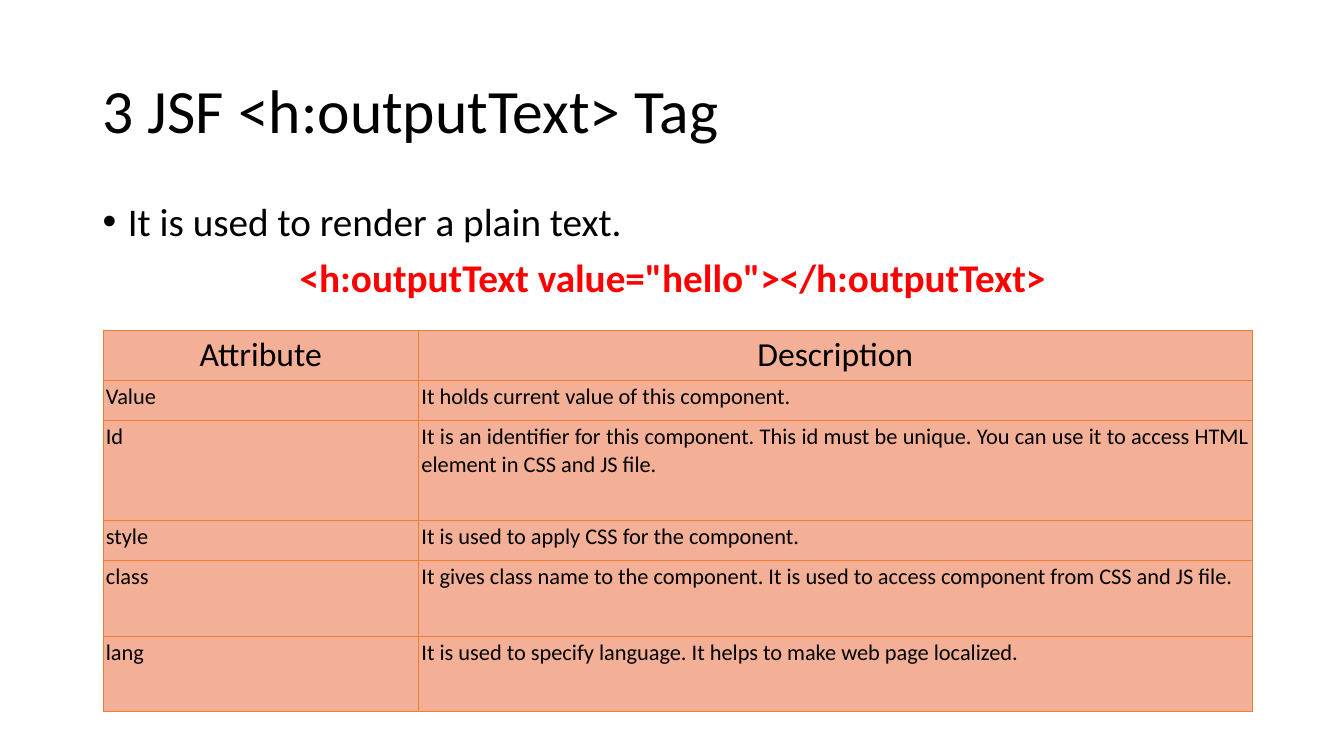
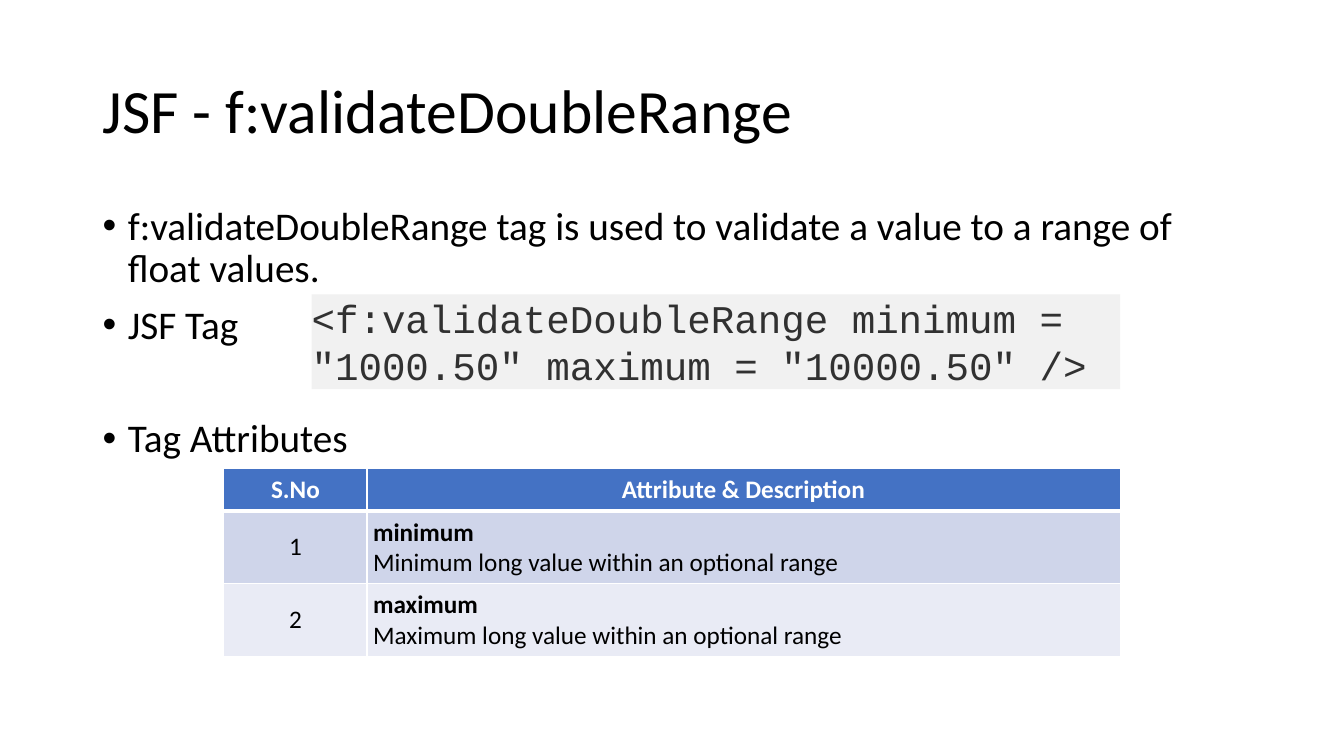
from dataclasses import dataclass

from lxml.etree import SubElement
from pptx import Presentation
from pptx.dml.color import RGBColor
from pptx.enum.shapes import MSO_SHAPE
from pptx.enum.text import MSO_ANCHOR, PP_ALIGN
from pptx.oxml.ns import qn
from pptx.slide import Slide
from pptx.table import _Cell
from pptx.text.text import _Paragraph
from pptx.util import Emu, Inches, Pt

COLORS = {
    "black": "000000",
    "white": "FFFFFF",
    "red": "FF0000",
    "salmon": "F4B096",
    "orange": "ED7D31",
    "header_blue": "4472C4",
    "band_dark": "CFD5EA",
    "band_light": "E9EBF5",
    "code_back": "F1F1F1",
    "code_text": "313131",
}
BODY_FONT = "Calibri"
CODE_FONT = "Courier New"
MARGIN = Inches(0.92)
CONTENT_WIDTH = Inches(11.5)


@dataclass(frozen=True)
class TextStyle:
    size: float
    color: str = "black"
    bold: bool = False
    font: str = BODY_FONT
    align: PP_ALIGN = PP_ALIGN.LEFT


@dataclass(frozen=True)
class BodyLine:
    text: str
    style: TextStyle = TextStyle(28)
    bulleted: bool = True
    space_before: float = 10


@dataclass(frozen=True)
class CellStyle:
    text: TextStyle
    fill: str
    inset: float
    border: str
    border_width: float = 1
    bottom_width: float = 1
    anchor: MSO_ANCHOR = MSO_ANCHOR.TOP
    lead_bold: bool = False


@dataclass(frozen=True)
class TableRow:
    height: float
    values: tuple[str, str]
    styles: tuple[CellStyle, CellStyle]


def rgb(name: str) -> RGBColor:
    return RGBColor.from_string(COLORS[name])


def format_paragraph(paragraph: _Paragraph, style: TextStyle) -> None:
    paragraph.alignment = style.align
    for run in paragraph.runs:
        run.font.name = style.font
        run.font.size = Pt(style.size)
        run.font.bold = style.bold
        run.font.color.rgb = rgb(style.color)


def add_titled_slide(deck: Presentation, heading: str) -> Slide:
    slide = deck.slides.add_slide(deck.slide_layouts[5])
    title = slide.shapes.title
    title.left, title.top = MARGIN, Inches(0.4)
    title.width, title.height = CONTENT_WIDTH, Inches(1.45)
    frame = title.text_frame
    frame.text = heading
    frame.word_wrap = True
    frame.vertical_anchor = MSO_ANCHOR.MIDDLE
    frame.paragraphs[0].line_spacing = 0.9
    format_paragraph(frame.paragraphs[0], TextStyle(44))
    return slide


def add_bullet(paragraph: _Paragraph) -> None:
    properties = paragraph._p.get_or_add_pPr()
    properties.set("marL", str(Inches(0.25)))
    properties.set("indent", str(-Inches(0.25)))
    SubElement(properties, qn("a:buFont"), typeface="Arial")
    SubElement(properties, qn("a:buChar"), char="•")


def add_body(slide: Slide, top: float, height: float, lines: list[BodyLine]) -> None:
    body = slide.shapes.add_textbox(MARGIN, Inches(top), CONTENT_WIDTH, Inches(height))
    frame = body.text_frame
    frame.word_wrap = True
    frame.text = "\n".join(line.text for line in lines)
    for paragraph, line in zip(frame.paragraphs, lines):
        paragraph.line_spacing = 0.9
        paragraph.space_before = Pt(line.space_before)
        format_paragraph(paragraph, line.style)
        if line.bulleted:
            add_bullet(paragraph)


def add_code_panel(slide: Slide, code: str) -> None:
    panel = slide.shapes.add_shape(
        MSO_SHAPE.RECTANGLE, Inches(3.09), Inches(2.92), Inches(8.02), Inches(0.94)
    )
    panel.shadow.inherit = False
    panel.fill.solid()
    panel.fill.fore_color.rgb = rgb("code_back")
    panel.line.fill.background()
    frame = panel.text_frame
    frame.text = code
    frame.word_wrap = True
    frame.vertical_anchor = MSO_ANCHOR.MIDDLE
    frame.margin_left = frame.margin_right = frame.margin_top = frame.margin_bottom = 0
    format_paragraph(frame.paragraphs[0], TextStyle(28, "code_text", font=CODE_FONT))


def set_borders(cell: _Cell, style: CellStyle) -> None:
    properties = cell._tc.get_or_add_tcPr()
    for side in ("lnL", "lnR", "lnT", "lnB"):
        width = style.bottom_width if side == "lnB" else style.border_width
        border = SubElement(properties, qn(f"a:{side}"), w=str(Pt(width)))
        fill = SubElement(border, qn("a:solidFill"))
        SubElement(fill, qn("a:srgbClr"), val=COLORS[style.border])


def fill_cell(cell: _Cell, text: str, style: CellStyle) -> None:
    set_borders(cell, style)
    cell.fill.solid()
    cell.fill.fore_color.rgb = rgb(style.fill)
    cell.vertical_anchor = style.anchor
    inset = Inches(style.inset)
    cell.margin_left = cell.margin_right = cell.margin_top = cell.margin_bottom = inset
    cell.text_frame.text = text
    paragraphs = cell.text_frame.paragraphs
    for paragraph in paragraphs:
        format_paragraph(paragraph, style.text)
    if style.lead_bold:
        paragraphs[0].runs[0].font.bold = True


def add_attribute_table(
    slide: Slide, left: float, top: float, widths: tuple[float, float], rows: list[TableRow]
) -> None:
    table = slide.shapes.add_table(
        len(rows),
        len(widths),
        Inches(left),
        Inches(top),
        Inches(sum(widths)),
        Inches(sum(row.height for row in rows)),
    ).table
    table.first_row = table.horz_banding = False
    for column, width in zip(table.columns, widths):
        column.width = Inches(width)
    for table_row, row in zip(table.rows, rows):
        table_row.height = Emu(Inches(row.height))
        for cell, text, style in zip(table_row.cells, row.values, row.styles):
            fill_cell(cell, text, style)


def build_output_text(deck: Presentation) -> None:
    slide = add_titled_slide(deck, "3 JSF <h:outputText> Tag")
    sample = TextStyle(28, "red", bold=True, align=PP_ALIGN.CENTER)
    add_body(slide, 1.96, 1.19, [
        BodyLine("It is used to render a plain text."),
        BodyLine('<h:outputText value="hello"></h:outputText>', sample, bulleted=False),
    ])
    header = CellStyle(
        TextStyle(24, align=PP_ALIGN.CENTER), "salmon", 0.04, "orange", 0.5, 0.5
    )
    entry = CellStyle(
        TextStyle(16, align=PP_ALIGN.JUSTIFY), "salmon", 0.03, "orange", 0.5, 0.5
    )
    attributes = [
        (0.4, "Value", "It holds current value of this component."),
        (0.99, "Id", "It is an identifier for this component. This id must be unique. "
         "You can use it to access HTML element in CSS and JS file."),
        (0.4, "style", "It is used to apply CSS for the component."),
        (0.75, "class", "It gives class name to the component. "
         "It is used to access component from CSS and JS file."),
        (0.75, "lang", "It is used to specify language. "
         "It helps to make web page localized."),
    ]
    rows = [TableRow(0.49, ("Attribute", "Description"), (header, header))]
    rows += [
        TableRow(height, (name, description), (entry, entry))
        for height, name, description in attributes
    ]
    add_attribute_table(slide, 1.02, 3.28, (3.13, 8.27), rows)


def build_double_range(deck: Presentation) -> None:
    slide = add_titled_slide(deck, "JSF - f:validateDoubleRange")
    add_body(slide, 2, 2.65, [
        BodyLine("f:validateDoubleRange tag is used to validate a value "
                 "to a range of float values."),
        BodyLine("JSF Tag"),
        BodyLine("Tag Attributes", space_before=51),
    ])
    add_code_panel(
        slide, '<f:validateDoubleRange minimum = "1000.50" maximum = "10000.50" />'
    )
    header = CellStyle(
        TextStyle(18, "white", bold=True, align=PP_ALIGN.CENTER),
        "header_blue", 0.06, "white", bottom_width=3,
    )
    rows = [TableRow(0.41, ("S.No", "Attribute & Description"), (header, header))]
    bands = [("minimum", "band_dark"), ("maximum", "band_light")]
    for number, (name, band) in enumerate(bands, start=1):
        serial = CellStyle(
            TextStyle(18, align=PP_ALIGN.CENTER), band, 0.06, "white",
            anchor=MSO_ANCHOR.MIDDLE,
        )
        detail = CellStyle(
            TextStyle(18, align=PP_ALIGN.JUSTIFY), band, 0.06, "white", lead_bold=True
        )
        description = f"{name}\n{name.capitalize()} long value within an optional range"
        rows.append(TableRow(0.71, (str(number), description), (serial, detail)))
    add_attribute_table(slide, 2.22, 4.65, (1.42, 7.47), rows)


def main() -> None:
    deck = Presentation()
    deck.slide_width, deck.slide_height = Inches(13.33), Inches(7.5)
    build_output_text(deck)
    build_double_range(deck)
    deck.save("out.pptx")


if __name__ == "__main__":
    main()
